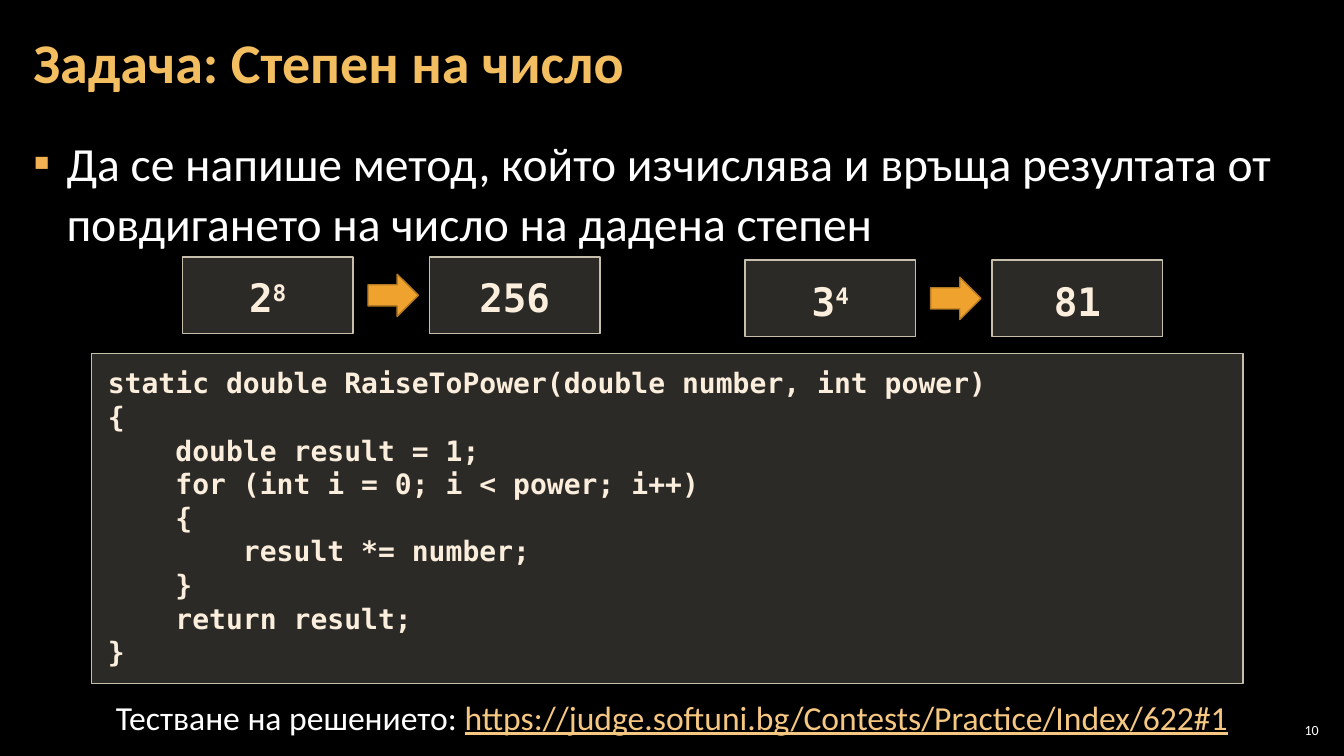
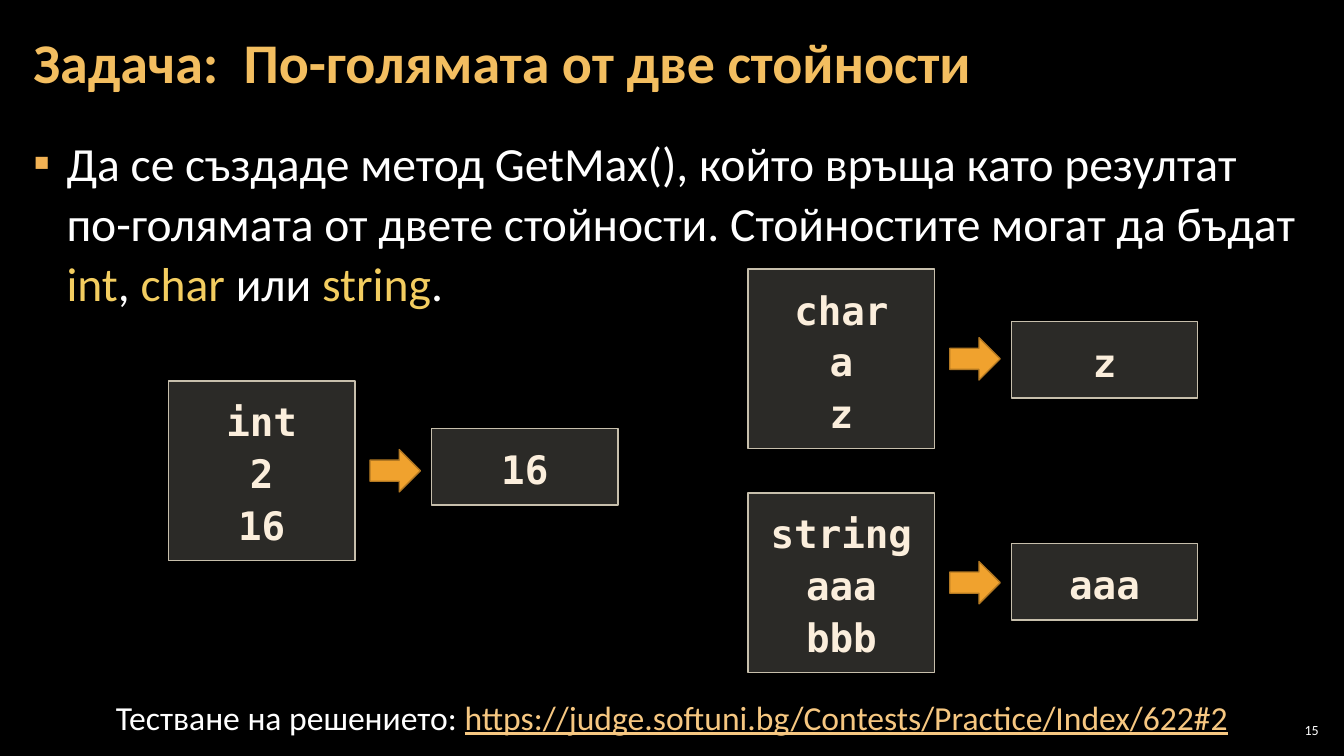
import dataclasses

import lxml.etree
import pptx
import pptx.dml.color
import pptx.enum.shapes
import pptx.enum.text
import pptx.oxml.ns
import pptx.util

Inches = pptx.util.Inches
Pt = pptx.util.Pt
RGBColor = pptx.dml.color.RGBColor
qn = pptx.oxml.ns.qn
Align = pptx.enum.text.PP_ALIGN
Anchor = pptx.enum.text.MSO_ANCHOR
AutoSize = pptx.enum.text.MSO_AUTO_SIZE
ShapeType = pptx.enum.shapes.MSO_SHAPE


@dataclasses.dataclass(frozen=True)
class Theme:
    background: str = "000000"
    title: str = "F3BE60"
    text: str = "FFFFFF"
    highlight: str = "F3CD60"
    bullet: str = "F2B254"
    link: str = "F6C781"
    panel: str = "D9D5C7"
    panel_line: str = "C7BFAC"
    code: str = "FBEEDC"
    arrow: str = "F0A22E"
    arrow_line: str = "B27822"
    text_font: str = "Calibri"
    code_font: str = "DejaVu Sans Mono"
    title_size: int = 40
    body_size: int = 34
    example_size: int = 28
    footer_size: int = 24
    code_size: int = 20
    number_size: int = 10


theme = Theme()

ARROW_WIDTH, ARROW_HEIGHT = 0.5, 0.42
GAP_BEFORE_ARROW, GAP_AFTER_ARROW = 0.15, 0.11
LINE_HEIGHT, PANEL_PADDING = 0.51, 0.25

POWER_CODE = """static double RaiseToPower(double number, int power)
{
    double result = 1;
    for (int i = 0; i < power; i++)
    {
        result *= number;
    }
    return result;
}"""

# Each example: left, input top, output top, input lines, output.
TASKS = [
    {
        "number": "10",
        "title": "Задача: Степен на число",
        "body": [
            ("Да се напише метод, който изчислява и връща резултата от "
             "повдигането на число на дадена степен", theme.text),
        ],
        "panel_width": 1.69,
        "examples": [
            (1.81, 2.55, 2.55, ["2^8"], "256"),
            (7.39, 2.58, 2.58, ["3^4"], "81"),
        ],
        "code": POWER_CODE,
        "link": "https://judge.softuni.bg/Contests/Practice/Index/622#1",
    },
    {
        "number": "15",
        "title": "Задача:  По-голямата от две стойности",
        "body": [
            ("Да се създаде метод GetMax(), който връща като резултат "
             "по-голямата от дветe стойности. Стойностите могат да бъдат ",
             theme.text),
            ("int", theme.highlight),
            (", ", theme.text),
            ("char ", theme.highlight),
            ("или ", theme.text),
            ("string", theme.highlight),
            (".", theme.text),
        ],
        "panel_width": 1.85,
        "examples": [
            (7.42, 2.67, 3.19, ["char", "a", "z"], "z"),
            (1.67, 3.78, 4.25, ["int", "2", "16"], "16"),
            (7.42, 4.89, 5.39, ["string", "aaa", "bbb"], "aaa"),
        ],
        "code": None,
        "link": "https://judge.softuni.bg/Contests/Practice/Index/622#2",
    },
]


def add_run(paragraph, text, size, color, font=theme.text_font, bold=False):
    run = paragraph.add_run()
    run.text = text
    run.font.name = font
    run.font.size = Pt(size)
    run.font.bold = bold
    run.font.color.rgb = RGBColor.from_string(color)
    return run


def add_panel(slide, bounds, lines, size, inset, alignment, line_spacing):
    """Add a translucent code panel; a caret in a line starts an exponent."""
    panel = slide.shapes.add_shape(ShapeType.RECTANGLE, *map(Inches, bounds))
    panel.shadow.inherit = False
    panel.fill.solid()
    panel.fill.fore_color.rgb = RGBColor.from_string(theme.panel)
    fill_color = panel.element.spPr.find(qn("a:solidFill")).find(qn("a:srgbClr"))
    lxml.etree.SubElement(fill_color, qn("a:alpha"), val="20000")
    panel.line.color.rgb = RGBColor.from_string(theme.panel_line)
    panel.line.width = Pt(1)
    frame = panel.text_frame
    frame.word_wrap = True
    frame.auto_size = AutoSize.SHAPE_TO_FIT_TEXT
    frame.vertical_anchor = Anchor.TOP
    frame.margin_left = frame.margin_right = Inches(inset)
    frame.margin_top = frame.margin_bottom = Inches(0.12)
    for index, line in enumerate(lines):
        paragraph = frame.add_paragraph() if index else frame.paragraphs[0]
        paragraph.alignment = alignment
        paragraph.line_spacing = line_spacing
        base, _, exponent = line.partition("^")
        add_run(paragraph, base, size, theme.code, theme.code_font, True)
        if exponent:
            run = add_run(paragraph, exponent, size, theme.code, theme.code_font, True)
            run.font._element.set("baseline", "30000")


presentation = pptx.Presentation()
presentation.slide_width = Inches(13.33)
presentation.slide_height = Inches(7.5)
background = presentation.slide_master.background.fill
background.solid()
background.fore_color.rgb = RGBColor.from_string(theme.background)

for task in TASKS:
    slide = presentation.slides.add_slide(presentation.slide_layouts[1])
    title, body = slide.shapes.title, slide.placeholders[1]
    for placeholder, bounds, anchor in (
        (title, (0.21, 0.04, 10.47, 1.21), Anchor.MIDDLE),
        (body, (0.21, 1.26, 12.91, 6.09), Anchor.TOP),
    ):
        placeholder.left, placeholder.top, placeholder.width, placeholder.height = map(
            Inches, bounds)
        frame = placeholder.text_frame
        frame.word_wrap = True
        frame.auto_size = AutoSize.NONE
        frame.vertical_anchor = anchor
        frame.margin_left = frame.margin_right = Inches(0.12)
        frame.margin_top = frame.margin_bottom = Inches(0.04)

    paragraph = title.text_frame.paragraphs[0]
    paragraph.alignment = Align.LEFT
    paragraph.line_spacing = 0.9
    add_run(paragraph, task["title"], theme.title_size, theme.title, bold=True)

    paragraph = body.text_frame.paragraphs[0]
    properties = paragraph._p.get_or_add_pPr()
    properties.set("marL", str(Inches(0.33)))
    properties.set("indent", str(-Inches(0.33)))
    bullet_color = lxml.etree.SubElement(properties, qn("a:buClr"))
    lxml.etree.SubElement(bullet_color, qn("a:srgbClr"), val=theme.bullet)
    lxml.etree.SubElement(properties, qn("a:buFont"), typeface=theme.text_font)
    lxml.etree.SubElement(properties, qn("a:buChar"), char="▪")
    paragraph.alignment = Align.LEFT
    paragraph.line_spacing = 1.05
    paragraph.space_before = Pt(0)
    paragraph.space_after = Pt(6)
    for text, color in task["body"]:
        add_run(paragraph, text, theme.body_size, color)

    if task["code"]:
        add_panel(slide, (0.91, 3.51, 11.42, 3.27), task["code"].split("\n"),
                  theme.code_size, 0.16, Align.LEFT, 1.0)

    width = task["panel_width"]
    for left, input_top, output_top, input_lines, output in task["examples"]:
        input_height = PANEL_PADDING + LINE_HEIGHT * len(input_lines)
        arrow_left = left + width + GAP_BEFORE_ARROW
        output_left = arrow_left + ARROW_WIDTH + GAP_AFTER_ARROW
        for panel_left, top, height, lines in (
            (left, input_top, input_height, input_lines),
            (output_left, output_top, PANEL_PADDING + LINE_HEIGHT, [output]),
        ):
            add_panel(slide, (panel_left, top, width, height), lines,
                      theme.example_size, 0.2, Align.CENTER, 1.1)
        arrow_top = input_top + (input_height - ARROW_HEIGHT) / 2
        arrow = slide.shapes.add_shape(
            ShapeType.RIGHT_ARROW, Inches(arrow_left), Inches(arrow_top),
            Inches(ARROW_WIDTH), Inches(ARROW_HEIGHT))
        arrow.shadow.inherit = False
        arrow.fill.solid()
        arrow.fill.fore_color.rgb = RGBColor.from_string(theme.arrow)
        arrow.line.color.rgb = RGBColor.from_string(theme.arrow_line)
        arrow.line.width = Pt(1)

    footer = slide.shapes.add_textbox(*map(Inches, (0.68, 6.86, 11.97, 0.5)))
    footer.text_frame.word_wrap = True
    paragraph = footer.text_frame.paragraphs[0]
    paragraph.alignment = Align.CENTER
    add_run(paragraph, "Тестване на решението: ", theme.footer_size, theme.text)
    link = add_run(paragraph, task["link"], theme.footer_size, theme.link)
    link.font.underline = True

    number = slide.shapes.add_textbox(*map(Inches, (12.65, 7.14, 0.47, 0.21)))
    frame = number.text_frame
    frame.word_wrap = True
    frame.vertical_anchor = Anchor.MIDDLE
    frame.margin_left = frame.margin_right = Inches(0.04)
    frame.margin_top = frame.margin_bottom = Inches(0.04)
    paragraph = frame.paragraphs[0]
    paragraph.alignment = Align.RIGHT
    add_run(paragraph, task["number"], theme.number_size, theme.text)

presentation.save("out.pptx")
